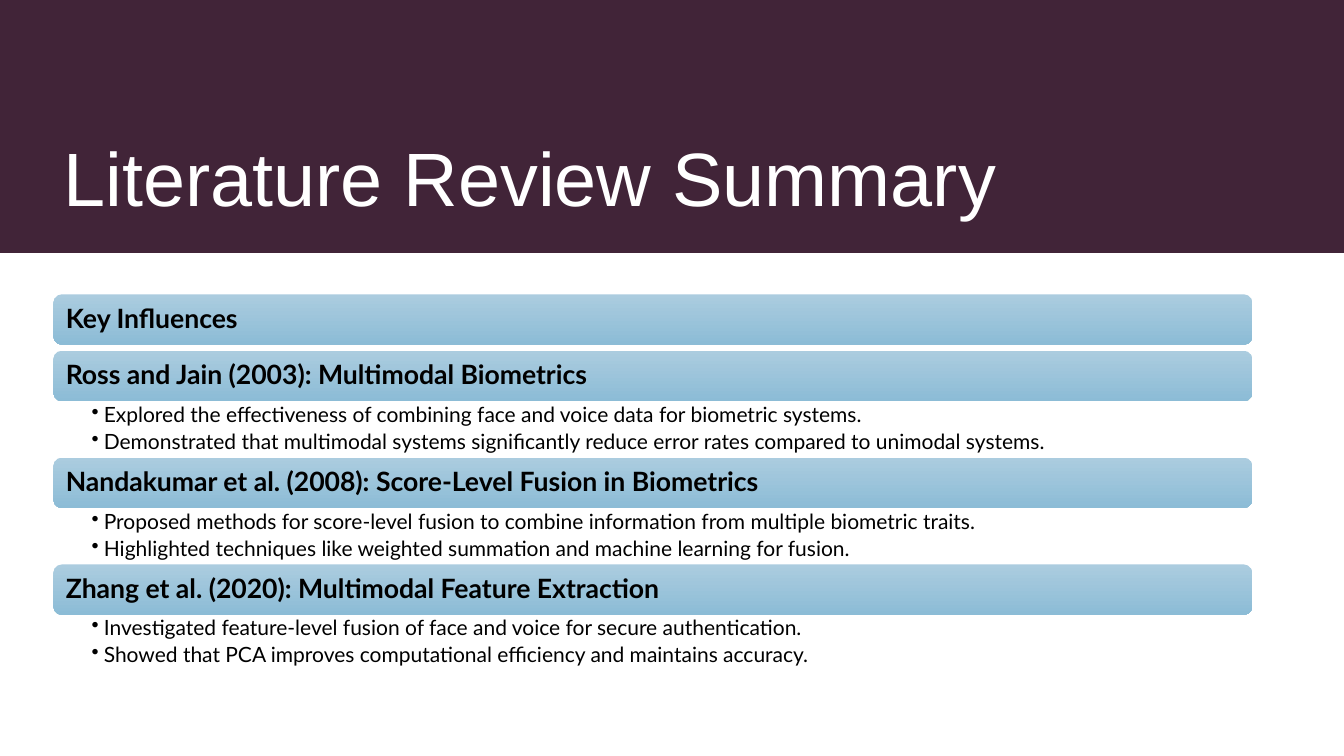
"""Build the literature review summary slide."""
from dataclasses import dataclass

from lxml.etree import SubElement
from pptx import Presentation
from pptx.dml.color import RGBColor
from pptx.enum.shapes import MSO_SHAPE as Shape
from pptx.enum.text import MSO_ANCHOR as Anchor
from pptx.oxml.ns import qn
from pptx.slide import Slide
from pptx.util import Inches, Pt

PLUM = RGBColor(0x41, 0x24, 0x38)
BAR_TOP = RGBColor(0xAB, 0xCC, 0xDF)
BAR_BOTTOM = RGBColor(0x8C, 0xBC, 0xD6)
WHITE = RGBColor(0xFF, 0xFF, 0xFF)
BLACK = RGBColor(0, 0, 0)

LEFT, WIDTH = 0.53, 11.89
FIRST_TOP = 2.92
BAR_HEIGHT = 0.5
BAR_GAP = 0.06
FINDINGS_HEIGHT = 0.56


@dataclass
class Study:
    heading: str
    findings: tuple[str, ...] = ()


STUDIES = [
    Study("Key Influences"),
    Study("Ross and Jain (2003): Multimodal Biometrics", (
        "Explored the effectiveness of combining face and voice data for biometric systems.",
        "Demonstrated that multimodal systems significantly reduce error rates compared to unimodal systems.",
    )),
    Study("Nandakumar et al. (2008): Score-Level Fusion in Biometrics", (
        "Proposed methods for score-level fusion to combine information from multiple biometric traits.",
        "Highlighted techniques like weighted summation and machine learning for fusion.",
    )),
    Study("Zhang et al. (2020): Multimodal Feature Extraction", (
        "Investigated feature-level fusion of face and voice for secure authentication.",
        "Showed that PCA improves computational efficiency and maintains accuracy.",
    )),
]


def set_font(paragraph, name: str, size: int, color: RGBColor, bold: bool = False) -> None:
    font = paragraph.font
    font.name, font.size, font.bold = name, Pt(size), bold
    font.color.rgb = color


def add_title(slide: Slide, text: str) -> None:
    banner = slide.shapes.add_shape(Shape.RECTANGLE, 0, 0, Inches(13.33), Inches(2.51))
    banner.shadow.inherit = False
    banner.fill.solid()
    banner.fill.fore_color.rgb = PLUM
    banner.line.fill.background()
    title = slide.shapes.add_textbox(Inches(LEFT), Inches(0.4), Inches(WIDTH), Inches(1.85))
    frame = title.text_frame
    frame.word_wrap = True
    frame.vertical_anchor = Anchor.BOTTOM
    frame.text = text
    set_font(frame.paragraphs[0], "Arial", 54, WHITE)


def add_bar(slide: Slide, heading: str, top: float) -> None:
    bar = slide.shapes.add_shape(
        Shape.ROUNDED_RECTANGLE, Inches(LEFT), Inches(top), Inches(WIDTH), Inches(BAR_HEIGHT))
    bar.shadow.inherit = False
    bar.line.fill.background()
    bar.fill.gradient()
    bar.fill.gradient_angle = 270
    for stop, color in zip(bar.fill.gradient_stops, (BAR_TOP, BAR_BOTTOM)):
        stop.color.rgb = color
    frame = bar.text_frame
    frame.word_wrap = True
    frame.vertical_anchor = Anchor.MIDDLE
    frame.margin_left = frame.margin_right = Inches(0.1)
    frame.text = heading
    paragraph = frame.paragraphs[0]
    paragraph.alignment = 1
    paragraph.line_spacing = 0.9
    set_font(paragraph, "Lato", 19, BLACK, bold=True)


def add_findings(slide: Slide, findings: tuple[str, ...], top: float) -> None:
    box = slide.shapes.add_textbox(
        Inches(LEFT), Inches(top), Inches(WIDTH), Inches(FINDINGS_HEIGHT))
    frame = box.text_frame
    frame.word_wrap = True
    frame.margin_left, frame.margin_right = Inches(0.38), Inches(0.15)
    frame.margin_top = frame.margin_bottom = Inches(0.03)
    frame.text = "\n".join(findings)
    for paragraph in frame.paragraphs:
        paragraph.line_spacing = 0.9
        paragraph.space_after = Pt(3)
        properties = paragraph._p.get_or_add_pPr()
        properties.set("marL", str(Inches(0.12)))
        properties.set("indent", str(Inches(-0.12)))
        SubElement(properties, qn("a:buChar"), char="•")
        set_font(paragraph, "Lato", 15, BLACK)


def main() -> None:
    presentation = Presentation()
    presentation.slide_width, presentation.slide_height = Inches(13.33), Inches(7.5)
    slide = presentation.slides.add_slide(presentation.slide_layouts[6])
    add_title(slide, "Literature Review Summary")
    top = FIRST_TOP
    for study in STUDIES:
        add_bar(slide, study.heading, top)
        top += BAR_HEIGHT
        if study.findings:
            add_findings(slide, study.findings, top)
            top += FINDINGS_HEIGHT
        else:
            top += BAR_GAP
    presentation.save("out.pptx")


if __name__ == "__main__":
    main()
